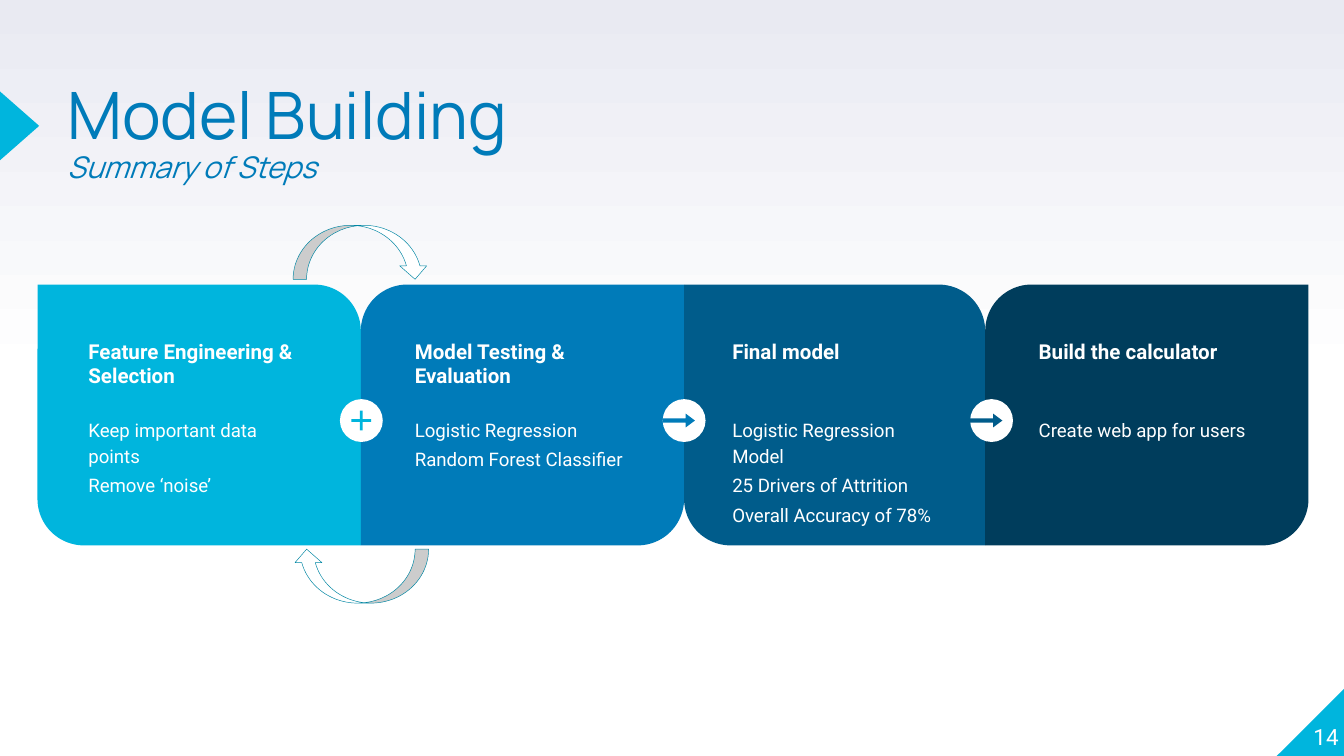
from dataclasses import dataclass

import pptx
import pptx.dml.color
import pptx.enum.shapes
import pptx.enum.text
import pptx.util
from pptx.util import Cm

MSO = pptx.enum.shapes.MSO_SHAPE
ALIGN = pptx.enum.text.PP_ALIGN
ANCHOR = pptx.enum.text.MSO_ANCHOR


@dataclass(frozen=True)
class Theme:
    display: str = "Manrope"
    body: str = "Roboto"
    white: str = "FFFFFF"
    haze: str = "E9EAF2"
    cyan: str = "00B5DD"
    blue: str = "007BB9"
    deep: str = "005C8B"
    navy: str = "003D5C"
    outline: str = "0086A3"
    title_pt: float = 35
    subtitle_pt: float = 16
    number_pt: float = 12
    heading_pt: float = 11
    list_pt: float = 10


@dataclass(frozen=True)
class Step:
    heading: str
    items: tuple[str, ...]
    color: str
    width: float
    text_left: float


@dataclass(frozen=True)
class Badge:
    center: float
    symbol: int
    color: str


T = Theme()
CARD_LEFT, CARD_TOP, CARD_HEIGHT = 0.71, 5.38, 4.93
TEXT_WIDTH, PAD = 4.57, 0.25
BADGE_SIZE, BADGE_MIDDLE = 0.81, 7.95
CORNER = 0.178

STEPS = (
    Step("Feature Engineering & Selection",
         ("Keep important data points", "Remove ‘noise’"), T.cyan, 6.11, 1.42),
    Step("Model Testing & Evaluation",
         ("Logistic Regression", "Random Forest Classifier"), T.blue, 6.11, 7.59),
    Step("Final model",
         ("Logistic Regression Model", "25 Drivers of Attrition",
          "Overall Accuracy of 78%"), T.deep, 5.69, 13.59),
    Step("Build the calculator", ("Create web app for users",), T.navy, 6.11, 19.38),
)
BADGES = (
    Badge(12.93, MSO.RIGHT_ARROW, T.blue),
    Badge(6.83, MSO.MATH_PLUS, T.cyan),
    Badge(18.74, MSO.RIGHT_ARROW, T.deep),
)


def rgb(color: str) -> pptx.dml.color.RGBColor:
    return pptx.dml.color.RGBColor.from_string(color)


def add_shape(s, kind: int, left: float, top: float, width: float, height: float,
              color: str, adj: tuple[float, ...] = (), rotation: float = 0):
    """Add a flat, borderless preset shape."""
    sp = s.shapes.add_shape(kind, Cm(left), Cm(top), Cm(width), Cm(height))
    sp.shadow.inherit = False
    sp.fill.solid()
    sp.fill.fore_color.rgb = rgb(color)
    sp.line.fill.background()
    sp.rotation = rotation
    for i, value in enumerate(adj):
        sp.adjustments[i] = value
    return sp


def place(sp, left: float, top: float, width: float, height: float) -> None:
    sp.left, sp.top, sp.width, sp.height = Cm(left), Cm(top), Cm(width), Cm(height)


def set_text(sp, text: str, inset: float = 0, anchor=ANCHOR.TOP):
    tf = sp.text_frame
    tf.text = text
    tf.word_wrap = True
    tf.auto_size = pptx.enum.text.MSO_AUTO_SIZE.NONE
    tf.vertical_anchor = anchor
    tf.margin_left = tf.margin_right = tf.margin_top = tf.margin_bottom = Cm(inset)
    return tf


def style(p, size: float, color: str = T.white, font: str = T.body, bold: bool = False,
          italic: bool = False, align=ALIGN.LEFT, spacing: float = 1.0,
          before: float = 0, after: float = 0) -> None:
    p.alignment = align
    p.line_spacing = spacing
    p.space_before = pptx.util.Pt(before)
    p.space_after = pptx.util.Pt(after)
    for r in p.runs:
        r.font.name = font
        r.font.size = pptx.util.Pt(size)
        r.font.color.rgb = rgb(color)
        r.font.bold = bold
        r.font.italic = italic


def remove_bullet(p) -> None:
    pPr = p._p.get_or_add_pPr()
    pPr.set("marL", "0")
    pPr.set("indent", "0")
    pPr.append(pptx.oxml.parse_xml(
        '<a:buNone xmlns:a="http://schemas.openxmlformats.org/drawingml/2006/main"/>'))


def add_step(s, step: Step, left: float, rising: bool, body) -> None:
    """Draw a card, its heading, and its list in a body placeholder."""
    adj = (CORNER, 0) if rising else (0, CORNER)
    add_shape(s, MSO.ROUND_2_DIAG_RECTANGLE, left, CARD_TOP, step.width, CARD_HEIGHT,
              step.color, adj)
    heading = s.shapes.add_textbox(Cm(step.text_left), Cm(6.15), Cm(TEXT_WIDTH), Cm(1.45))
    tf = set_text(heading, step.heading, PAD)
    style(tf.paragraphs[0], T.heading_pt, bold=True)

    s.shapes.element.append(body.element)  # bring the list in front of its card
    place(body, step.text_left, 7.6, TEXT_WIDTH, 1.6)
    for p in set_text(body, "\n".join(step.items), PAD).paragraphs:
        style(p, T.list_pt, spacing=1.15, after=2)
        remove_bullet(p)


def add_badge(s, badge: Badge) -> None:
    left = badge.center - BADGE_SIZE / 2
    add_shape(s, MSO.OVAL, left, BADGE_MIDDLE - BADGE_SIZE / 2, BADGE_SIZE, BADGE_SIZE,
              T.white)
    if badge.symbol == MSO.MATH_PLUS:
        size = 0.51
        add_shape(s, badge.symbol, badge.center - size / 2, BADGE_MIDDLE - size / 2,
                  size, size, badge.color, (0.1,))
    else:
        add_shape(s, badge.symbol, left, BADGE_MIDDLE - 0.13, 0.61, 0.26, badge.color,
                  (0.32, 0.67))


def add_loop_arrow(s, top: float, rotation: float) -> None:
    sp = add_shape(s, MSO.CURVED_DOWN_ARROW, 5.54, top, 2.56, 1.02, T.white,
                   rotation=rotation)
    sp.line.color.rgb = rgb(T.outline)
    sp.line.width = pptx.util.Pt(0.25)


def main() -> None:
    prs = pptx.Presentation()
    prs.slide_width, prs.slide_height = Cm(25.4), Cm(14.29)
    s = prs.slides.add_slide(prs.slide_layouts.get_by_name("Comparison"))
    bodies = [ph for ph in s.placeholders if ph.placeholder_format.idx > 0]

    # Background fading from white up to a pale haze
    fill = s.background.fill
    fill.gradient()
    fill.gradient_angle = 90
    for stop, position, color in zip(fill.gradient_stops, (0.5, 1), (T.white, T.haze)):
        stop.position = position
        stop.color.rgb = rgb(color)

    # Corner and title markers
    add_shape(s, MSO.RIGHT_TRIANGLE, 24.13, 12.99, 1.3, 1.3, T.cyan, rotation=270)
    add_shape(s, MSO.ISOSCELES_TRIANGLE, -0.28, 2.01, 1.3, 0.74, T.cyan, rotation=90)

    # Title and subtitle
    title = s.shapes.title
    place(title, 1.27, 1.68, 15.67, 3)
    name, subtitle = set_text(title, "Model Building\nSummary of Steps").paragraphs
    style(name, T.title_pt, T.blue, T.display, spacing=0.8)
    style(subtitle, T.subtitle_pt, T.blue, T.display, italic=True, spacing=0.8, before=2)

    # Page number
    number = s.shapes.add_textbox(Cm(24.03), Cm(12.88), Cm(1.27), Cm(1.3))
    tf = set_text(number, "14", anchor=ANCHOR.BOTTOM)
    style(tf.paragraphs[0], T.number_pt, align=ALIGN.RIGHT)

    # Cards side by side, with alternating rounded corners
    left = CARD_LEFT
    for i, (step, body) in enumerate(zip(STEPS, bodies)):
        add_step(s, step, left, i % 2 == 1, body)
        left += step.width

    # Badges on the seams and the loop between the first two cards
    for badge in BADGES:
        add_badge(s, badge)
    add_loop_arrow(s, 4.26, 0)
    add_loop_arrow(s, 10.38, 180)

    prs.save("out.pptx")


if __name__ == "__main__":
    main()
